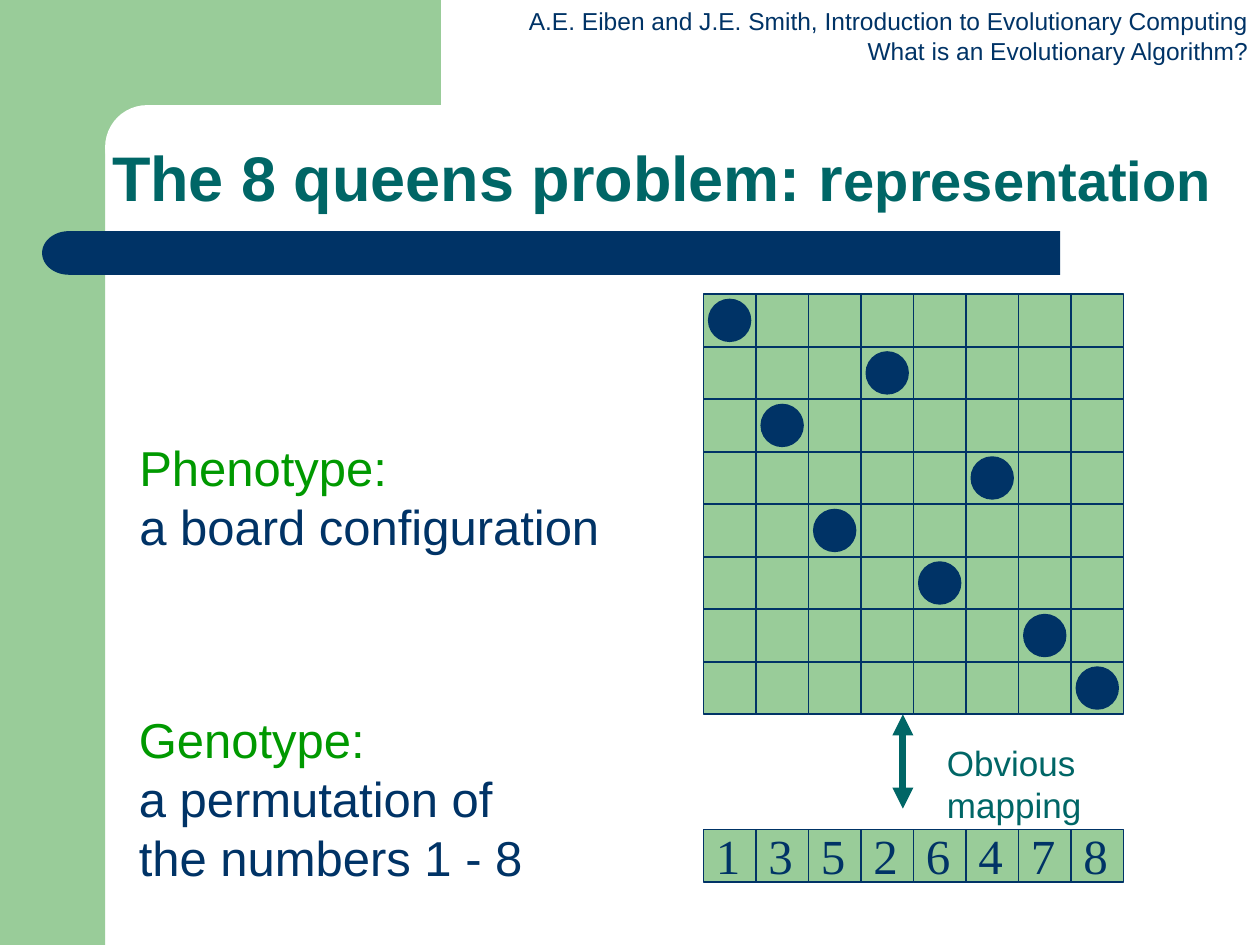
import dataclasses

import lxml.etree
import pptx
import pptx.dml.color
import pptx.enum.shapes
import pptx.enum.text
import pptx.oxml.ns
import pptx.util

Cm = pptx.util.Cm
Pt = pptx.util.Pt
Shape = pptx.enum.shapes.MSO_SHAPE
Align = pptx.enum.text.PP_ALIGN
Anchor = pptx.enum.text.MSO_ANCHOR
AutoSize = pptx.enum.text.MSO_AUTO_SIZE
qn = pptx.oxml.ns.qn


@dataclasses.dataclass(frozen=True)
class Theme:
    paper: str = "FFFFFF"
    leaf: str = "99CC99"
    navy: str = "003366"
    teal: str = "006666"
    green: str = "009900"
    sans: str = "Arial"
    serif: str = "Times New Roman"
    title_size: int = 36
    subtitle_size: int = 32
    body_size: int = 28
    label_size: int = 20
    header_size: int = 14


def rgb(code):
    return pptx.dml.color.RGBColor.from_string(code)


def write(paragraph, text, *, size, color, font, bold=False):
    run = paragraph.add_run()
    run.text = text
    run.font.size = Pt(size)
    run.font.color.rgb = rgb(color)
    run.font.name = font
    run.font.bold = bold


class SlideBuilder:
    def __init__(self, slide, theme):
        self.slide = slide
        self.theme = theme

    def shape(self, kind, left, top, width, height, fill, outline=None, corner=None):
        figure = self.slide.shapes.add_shape(kind, Cm(left), Cm(top), Cm(width), Cm(height))
        figure.shadow.inherit = False
        figure.fill.solid()
        figure.fill.fore_color.rgb = rgb(fill)
        if outline:
            figure.line.color.rgb = rgb(outline)
            figure.line.width = Pt(1)
        else:
            figure.line.fill.background()
        if corner is not None:
            figure.adjustments[0] = corner
        return figure

    def text_frame(self, left, top, width, height, wrap=False):
        frame = self.slide.shapes.add_textbox(Cm(left), Cm(top), Cm(width), Cm(height)).text_frame
        frame.word_wrap = wrap
        frame.auto_size = AutoSize.NONE if wrap else AutoSize.SHAPE_TO_FIT_TEXT
        return frame

    def lines(self, left, top, width, height, texts, colors, size, font=None, align=Align.LEFT):
        frame = self.text_frame(left, top, width, height)
        for number, (text, color) in enumerate(zip(texts, colors)):
            paragraph = frame.add_paragraph() if number else frame.paragraphs[0]
            paragraph.alignment = align
            write(paragraph, text, size=size, color=color, font=font or self.theme.sans)

    def title(self, left, top, width, height, parts):
        frame = self.text_frame(left, top, width, height, wrap=True)
        frame.vertical_anchor = Anchor.MIDDLE
        heading = frame.paragraphs[0]
        heading.line_spacing = 1.5
        heading.space_before = heading.space_after = Pt(20)
        for text, size in parts:
            write(heading, text, size=size, color=self.theme.teal, font=self.theme.sans, bold=True)

    def double_arrow(self, x, top, bottom, color):
        arrow = self.slide.shapes.add_connector(
            pptx.enum.shapes.MSO_CONNECTOR.STRAIGHT, Cm(x), Cm(top), Cm(x), Cm(bottom))
        arrow.line.color.rgb = rgb(color)
        arrow.line.width = Pt(4)
        for end in ("a:headEnd", "a:tailEnd"):
            lxml.etree.SubElement(arrow.line._get_or_add_ln(), qn(end), type="triangle")
        lxml.etree.SubElement(arrow._element.spPr, qn("a:effectLst"))

    def cell(self, left, top, side):
        self.shape(Shape.RECTANGLE, left, top, side, side, self.theme.leaf, self.theme.navy)

    def queen(self, left, top, side):
        diameter = 0.84
        gap = (side - diameter) / 2
        self.shape(Shape.OVAL, left + gap, top + gap, diameter, diameter,
                   self.theme.navy, self.theme.navy)


def draw_backdrop(builder):
    theme = builder.theme
    builder.shape(Shape.RECTANGLE, 0, 0, 2.12, 19.05, theme.leaf)
    builder.shape(Shape.RECTANGLE, 1.9, 0, 6.99, 2.96, theme.leaf)
    builder.shape(Shape.ROUNDED_RECTANGLE, 2.12, 2.12, 14.18, 1.69, theme.paper, corner=0.5)
    builder.shape(Shape.ROUNDED_RECTANGLE, 1.9, 4.66, 19.47, 0.88, theme.navy, corner=0)
    bar_cap = builder.shape(Shape.FLOWCHART_DELAY, 0.85, 4.66, 1.08, 0.88, theme.navy)
    bar_cap._element.spPr.xfrm.set("flipH", "1")


def draw_queens(builder, permutation):
    theme = builder.theme
    board_left, board_top, genotype_top = 14.18, 5.93, 16.72
    side = 8.47 / len(permutation)
    for column, queen_row in enumerate(permutation):
        left = board_left + column * side
        for row in range(len(permutation)):
            builder.cell(left, board_top + row * side, side)
        builder.queen(left, board_top + (queen_row - 1) * side, side)
        builder.cell(left, genotype_top, side)
        builder.lines(left, 16.51, 0.99, 1.42, [str(queen_row)], [theme.navy],
                      theme.body_size, theme.serif, Align.CENTER)


def main():
    theme = Theme()
    deck = pptx.Presentation()
    deck.slide_width, deck.slide_height = Cm(25.4), Cm(19.05)
    builder = SlideBuilder(deck.slides.add_slide(deck.slide_layouts[6]), theme)

    draw_backdrop(builder)
    builder.lines(10.41, 0, 15.01, 1.45,
                  ["A.E. Eiben and J.E. Smith, Introduction to Evolutionary Computing",
                   "What is an Evolutionary Algorithm?"],
                  [theme.navy] * 2, theme.header_size, align=Align.RIGHT)
    builder.title(2.01, 2.12, 23.39, 2.12,
                  [("The 8 queens problem: r", theme.title_size),
                   ("epresentation", theme.subtitle_size)])
    builder.lines(2.56, 8.69, 10.03, 2.62, ["Phenotype:", "a board configuration"],
                  [theme.green, theme.navy], theme.body_size)
    builder.lines(2.55, 14.18, 8.23, 3.81,
                  ["Genotype:", "a permutation of", "the numbers 1 - 8"],
                  [theme.green, theme.navy, theme.navy], theme.body_size)
    draw_queens(builder, [1, 3, 5, 2, 6, 4, 7, 8])
    builder.double_arrow(18.2, 14.4, 16.3, theme.teal)
    builder.lines(18.84, 14.82, 5.99, 1.12, ["Obvious mapping"], [theme.teal], theme.label_size)

    deck.save("out.pptx")


if __name__ == "__main__":
    main()
